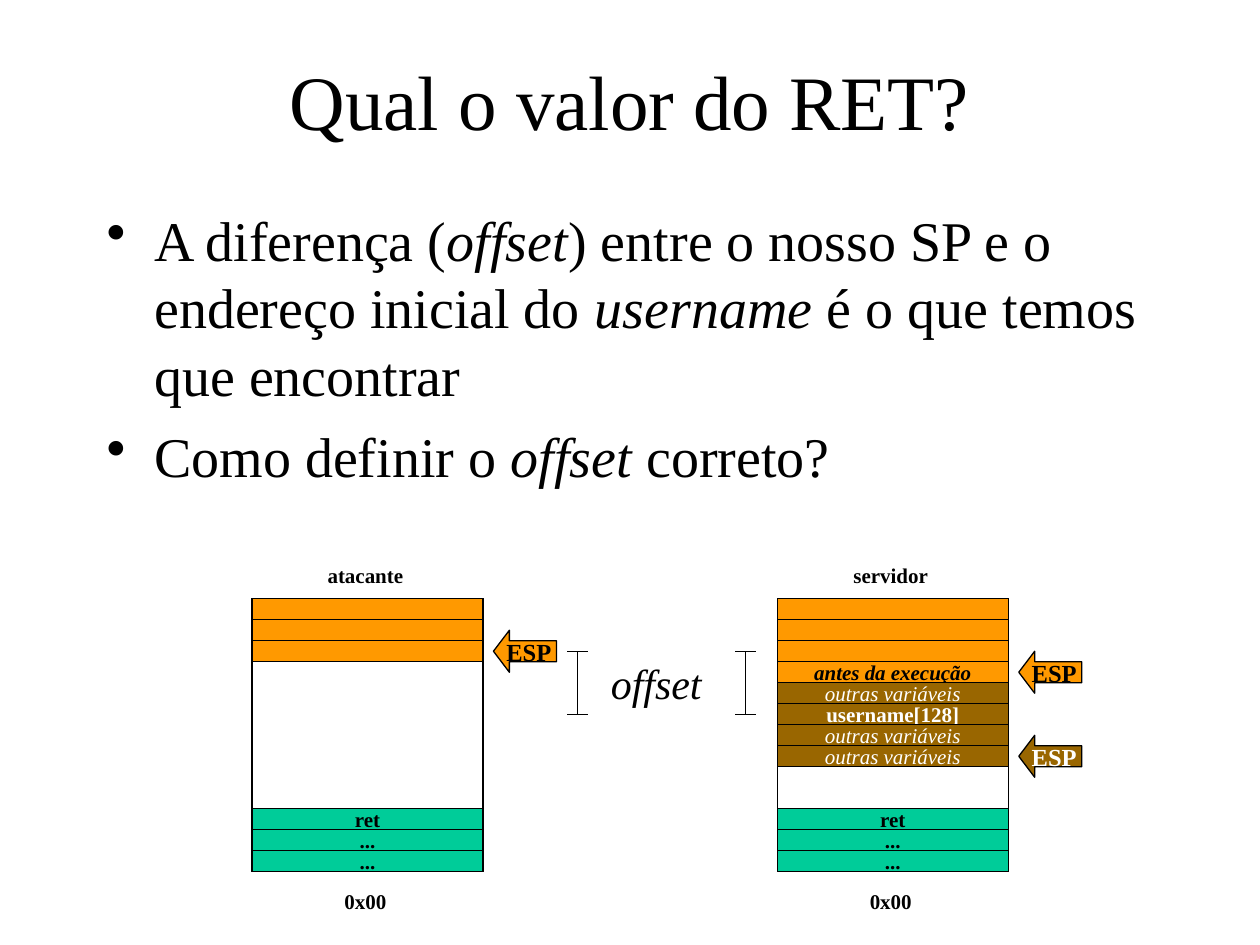
from lxml import etree
from pptx import Presentation
from pptx.dml.color import RGBColor
from pptx.enum import shapes, text
from pptx.oxml.ns import qn
from pptx.util import Cm, Pt

TITLE = "Qual o valor do RET?"
# Each bullet is a list of (text, italic) runs.
BULLETS = [
    [("A diferença (", False), ("offset", True),
     (") entre o nosso SP e o endereço inicial do ", False),
     ("username", True), (" é o que temos que encontrar", False)],
    [("Como definir o ", False), ("offset", True), (" correto?", False)],
]
# Rows are (row number, kind, text, bold, italic).
FRAME_ROWS = [(n, "stack", "", False, False) for n in range(3)] + [
    (10, "code", "ret", True, False),
    (11, "code", "...", True, False),
    (12, "code", "...", True, False),
]
SERVER_ROWS = [
    (3, "stack", "antes da execução", True, True),
    (4, "locals", "outras variáveis", False, True),
    (5, "locals", "username[128]", True, False),
    (6, "locals", "outras variáveis", False, True),
    (7, "locals", "outras variáveis", False, True),
]
# Pointers are (row pointed at, kind).
MEMORIES = [
    dict(name="atacante", left=5.08, rows=FRAME_ROWS, pointers=[(2, "stack")]),
    dict(name="servidor", left=15.67, rows=FRAME_ROWS + SERVER_ROWS,
         pointers=[(3, "stack"), (7, "locals")]),
]
BASE_ADDRESS = "0x00"
POINTER_NAME = "ESP"
OFFSET_NAME = "offset"
OFFSET_ROWS = (2.5, 5.5)

THEME = dict(
    font="Times New Roman", ink="000000", paper="FFFFFF", line=0.75,
    fill=dict(stack="FF9900", code="00CC99", locals="996600"),
    ink_on=dict(stack="000000", code="000000", locals="FFFFFF"),
    title=44, body=32, offset=24, pointer=14, small=12,
)

# Lengths in cm; the diagram is laid out in units of one memory row.
ROW = 2.54 / 6
TOP = 12.07
MEMORY_W = 11 * ROW
MEMORY_ROWS = 13
INDENT = 0.96


def colour(hex_value):
    return RGBColor.from_string(hex_value)


def style(p, size, ink=THEME["ink"], bold=False, italic=False):
    for r in p.runs:
        r.font.name = THEME["font"]
        r.font.size = Pt(size)
        r.font.color.rgb = colour(ink)
        r.font.bold = bold
        r.font.italic = italic


def add_box(slide, kind, x, y, w, h, fill):
    sp = slide.shapes.add_shape(kind, Cm(x), Cm(y), Cm(w), Cm(h))
    sp.shadow.inherit = False
    sp.fill.solid()
    sp.fill.fore_color.rgb = colour(fill)
    sp.line.color.rgb = colour(THEME["ink"])
    sp.line.width = Pt(THEME["line"])
    return sp


def write_centred(sp, words, size, ink, bold=True, italic=False):
    tf = sp.text_frame
    tf.word_wrap = False
    tf.vertical_anchor = text.MSO_ANCHOR.MIDDLE
    tf.text = words
    p = tf.paragraphs[0]
    p.alignment = text.PP_ALIGN.CENTER
    style(p, size, ink, bold, italic)


def add_label(slide, words, centre, y, w, h, size, bold=True, italic=False):
    sp = slide.shapes.add_textbox(Cm(centre - w / 2), Cm(y), Cm(w), Cm(h))
    write_centred(sp, words, size, THEME["ink"], bold, italic)


def add_line(slide, x1, y1, x2, y2):
    ln = slide.shapes.add_connector(
        shapes.MSO_CONNECTOR.STRAIGHT, Cm(x1), Cm(y1), Cm(x2), Cm(y2))
    ln.line.color.rgb = colour(THEME["ink"])
    ln.line.width = Pt(THEME["line"])
    etree.SubElement(ln._element.spPr, qn("a:effectLst"))


def add_title(slide):
    sp = slide.shapes.title
    sp.left, sp.top, sp.width, sp.height = Cm(1.9), Cm(0.42), Cm(21.59), Cm(3.18)
    write_centred(sp, TITLE, THEME["title"], THEME["ink"], bold=False)
    sp.text_frame.word_wrap = True


def add_bullets(slide):
    sp = slide.shapes.add_textbox(Cm(1.9), Cm(4.02), Cm(21.59), Cm(12.9))
    tf = sp.text_frame
    tf.word_wrap = True
    for i, runs in enumerate(BULLETS):
        p = tf.paragraphs[0] if i == 0 else tf.add_paragraph()
        pPr = p._p.get_or_add_pPr()
        pPr.set("marL", str(Cm(INDENT)))
        pPr.set("indent", str(-Cm(INDENT)))
        etree.SubElement(pPr, qn("a:buChar"), char="•")
        if i:
            p.space_before = Pt(8)
        for words, italic in runs:
            r = p.add_run()
            r.text = words
        style(p, THEME["body"])
        for r, (words, italic) in zip(p.runs, runs):
            r.font.italic = italic


def add_memory(slide, name, left, rows, pointers):
    rect = shapes.MSO_SHAPE.RECTANGLE
    centre = left + MEMORY_W / 2 - 0.04
    add_box(slide, rect, left, TOP, MEMORY_W, MEMORY_ROWS * ROW, THEME["paper"])
    for n, kind, words, bold, italic in rows:
        sp = add_box(slide, rect, left, TOP + n * ROW, MEMORY_W, ROW,
                     THEME["fill"][kind])
        if words:
            write_centred(sp, words, THEME["small"], THEME["ink_on"][kind],
                          bold, italic)
    for n, kind in pointers:
        sp = add_box(slide, shapes.MSO_SHAPE.LEFT_ARROW,
                     left + MEMORY_W + ROW / 2, TOP + (n - 0.5) * ROW,
                     3 * ROW, 2 * ROW, THEME["fill"][kind])
        sp.adjustments[1] = 0.38
        write_centred(sp, POINTER_NAME, THEME["pointer"], THEME["ink_on"][kind])
    add_label(slide, name, centre, TOP - 2 * ROW, 2.3, 0.76, THEME["small"])
    add_label(slide, BASE_ADDRESS, centre, TOP + 13.5 * ROW, 1.5, 0.76,
              THEME["small"])


def add_offset(slide):
    """Two matching measuring brackets with their name between them."""
    top, bottom = (TOP + n * ROW for n in OFFSET_ROWS)
    first = MEMORIES[0]["left"] + MEMORY_W + 4.5 * ROW
    second = MEMORIES[1]["left"] - 1.5 * ROW
    for x in (first, second):
        for y in (top, bottom):
            add_line(slide, x - ROW / 2, y, x + ROW / 2, y)
        add_line(slide, x, top, x, bottom)
    add_label(slide, OFFSET_NAME, 13.23, top, 2.6, 1.27, THEME["offset"],
              bold=False, italic=True)


def main():
    prs = Presentation()
    prs.slide_width, prs.slide_height = Cm(25.4), Cm(19.05)
    slide = prs.slides.add_slide(prs.slide_layouts[5])
    add_title(slide)
    add_bullets(slide)
    add_offset(slide)
    for memory in MEMORIES:
        add_memory(slide, **memory)
    prs.save("out.pptx")


if __name__ == "__main__":
    main()
